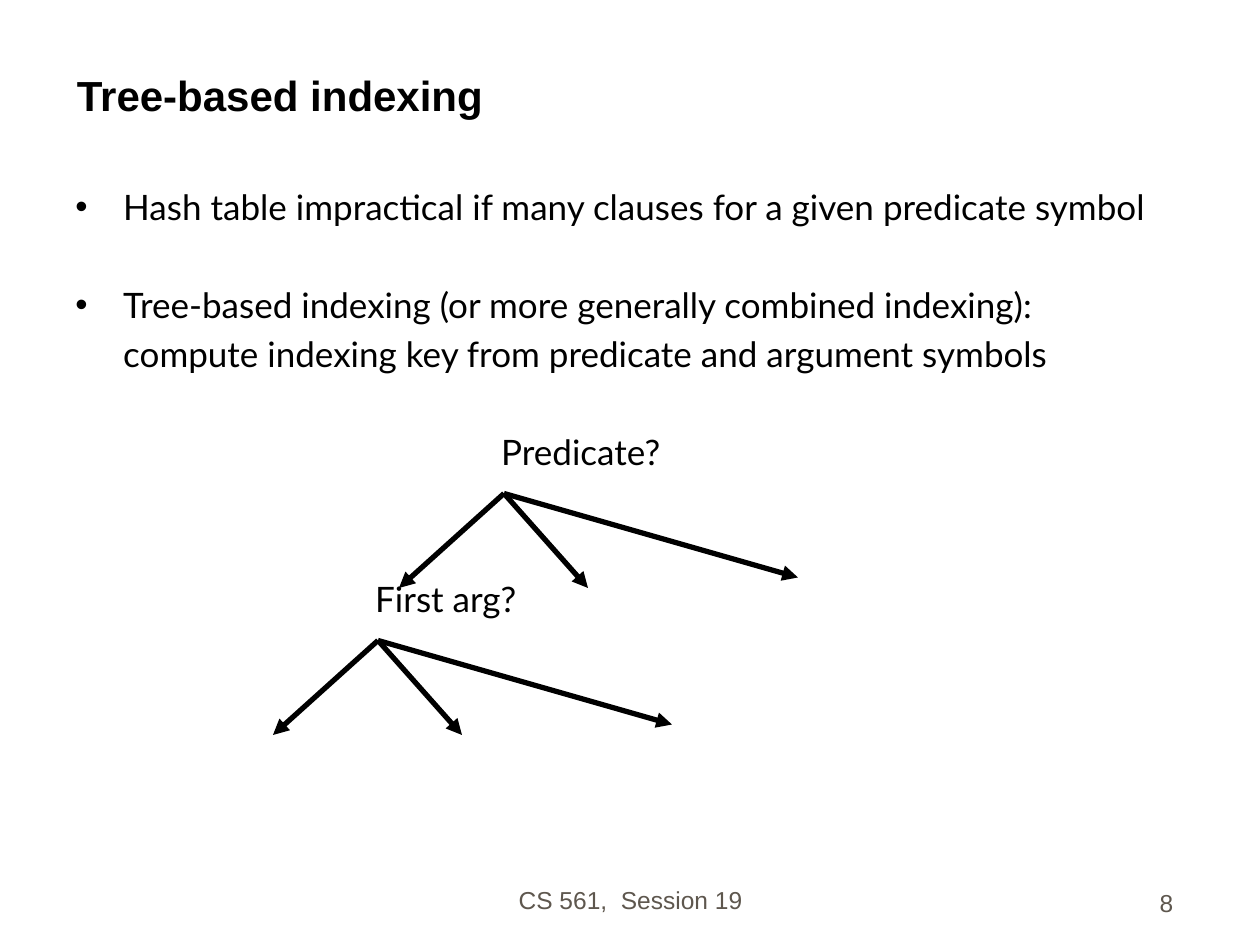
from dataclasses import dataclass

from lxml import etree
from pptx import Presentation
from pptx import util as u
from pptx.dml.color import RGBColor
from pptx.enum import shapes, text
from pptx.oxml.ns import qn

CELL = u.Inches(1) // 12  # grid of 120 columns by 90 rows
BLACK, GREY = "000000", "5E574E"
BRANCHES = ((-10, 9), (8, 9), (28, 8))  # column and row offsets of the arrowheads
LINE_GAP, ROW = 4, 28  # points


@dataclass
class Node:
    column: int
    row: int


@dataclass
class BodyLine:
    words: str
    indent: float
    skipped_rows: int = 0
    bullet: bool = False


@dataclass
class FooterText:
    words: str
    left: float
    top: float
    width: float
    alignment: text.PP_ALIGN


BODY = (
    BodyLine("Hash table impractical if many clauses for a given predicate symbol", 0.38, bullet=True),
    BodyLine("Tree-based indexing (or more generally combined indexing):", 0.38, 1, True),
    BodyLine("compute indexing key from predicate and argument symbols", 0.38),
    BodyLine("Predicate?", 3.38, 1),
    BodyLine("First arg?", 2.38, 2),
)
NODES = (Node(48, 47), Node(36, 61))
FOOTERS = (
    FooterText("CS 561,  Session 19", 3.42, 6.81, 3.17, text.PP_ALIGN.CENTER),
    FooterText("8", 7.33, 6.83, 2.08, text.PP_ALIGN.RIGHT),
)


def color(value: str) -> RGBColor:
    return RGBColor.from_string(value)


def set_all(target, values: dict) -> None:
    for name, value in values.items():
        setattr(target, name, value)


def place(shape, left: float, top: float, width: float, height: float) -> None:
    set_all(shape, {"left": u.Inches(left), "top": u.Inches(top),
                    "width": u.Inches(width), "height": u.Inches(height)})


def format_frame(frame, anchor) -> None:
    set_all(frame, {"word_wrap": True, "vertical_anchor": anchor,
                    "auto_size": text.MSO_AUTO_SIZE.NONE})


def write(paragraph, words: str, font: str, size: int, ink: str,
          alignment=text.PP_ALIGN.LEFT, before: float = 0, bold: bool = False) -> None:
    run = paragraph.add_run()
    run.text = words
    set_all(paragraph, {"alignment": alignment, "space_before": u.Pt(before)})
    set_all(run.font, {"name": font, "size": u.Pt(size), "bold": bold})
    run.font.color.rgb = color(ink)


def set_indent(paragraph, line: BodyLine) -> None:
    properties = paragraph._p.get_or_add_pPr()
    properties.set("marL", str(u.Inches(line.indent)))
    properties.set("indent", str(u.Inches(-0.38) if line.bullet else 0))
    if line.bullet:
        etree.SubElement(properties, qn("a:buFont"), typeface="Arial")
        etree.SubElement(properties, qn("a:buChar"), char="•")


def add_body(slide) -> None:
    box = slide.shapes.add_textbox(0, 0, 0, 0)
    place(box, 0.5, 1.42, 8.94, 5.21)
    frame = box.text_frame
    format_frame(frame, text.MSO_ANCHOR.TOP)
    for index, line in enumerate(BODY):
        paragraph = frame.add_paragraph() if index else frame.paragraphs[0]
        write(paragraph, line.words, "Lato", 20, BLACK,
              before=LINE_GAP + line.skipped_rows * ROW)
        set_indent(paragraph, line)


def add_branches(slide, node: Node) -> None:
    for columns, rows in BRANCHES:
        arrow = slide.shapes.add_connector(
            shapes.MSO_CONNECTOR.STRAIGHT, node.column * CELL, node.row * CELL,
            (node.column + columns) * CELL, (node.row + rows) * CELL)
        arrow.line.width = u.Pt(3)
        arrow.line.color.rgb = color(BLACK)
        etree.SubElement(arrow.line._get_or_add_ln(), qn("a:tailEnd"), type="triangle")
        etree.SubElement(arrow._element.spPr, qn("a:effectLst"))


def add_footer(slide, footer: FooterText) -> None:
    box = slide.shapes.add_textbox(0, 0, 0, 0)
    place(box, footer.left, footer.top, footer.width, 0.5)
    format_frame(box.text_frame, text.MSO_ANCHOR.BOTTOM)
    write(box.text_frame.paragraphs[0], footer.words, "Arial", 14, GREY,
          footer.alignment, before=7)


def main() -> None:
    presentation = Presentation()
    set_all(presentation, {"slide_width": u.Inches(10), "slide_height": u.Inches(7.5)})
    slide = presentation.slides.add_slide(presentation.slide_layouts[5])

    # Title
    title = slide.shapes.title
    place(title, 0.51, 0.25, 8.92, 0.75)
    format_frame(title.text_frame, text.MSO_ANCHOR.BOTTOM)
    write(title.text_frame.paragraphs[0], "Tree-based indexing", "Arial", 24, BLACK, bold=True)

    # Bullets and tree labels
    add_body(slide)

    # Tree arrows
    for node in NODES:
        add_branches(slide, node)

    # Footer and page number
    for footer in FOOTERS:
        add_footer(slide, footer)

    presentation.save("out.pptx")


if __name__ == "__main__":
    main()
